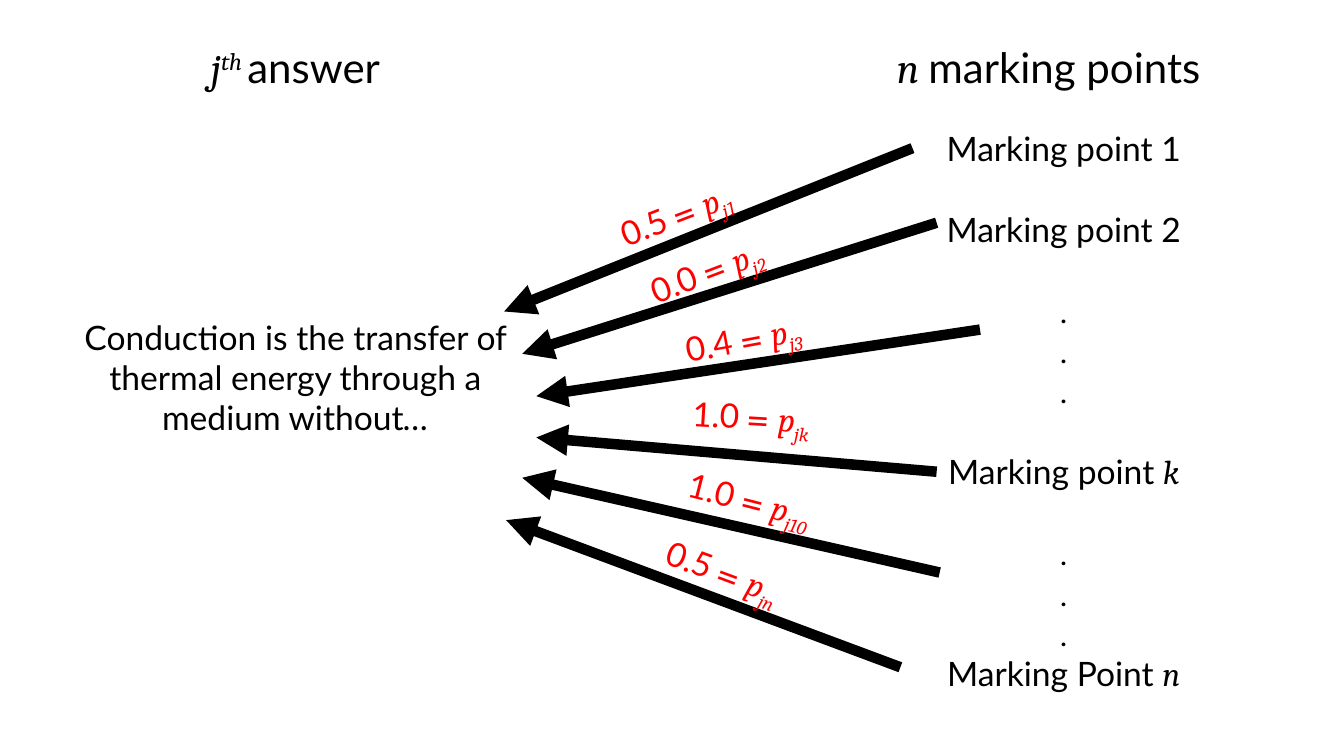
from dataclasses import dataclass

from lxml.etree import SubElement
from pptx import Presentation
from pptx.dml.color import RGBColor
from pptx.enum.shapes import MSO_CONNECTOR
from pptx.enum.text import MSO_AUTO_SIZE, PP_ALIGN
from pptx.oxml.ns import qn
from pptx.slide import Slide
from pptx.text.text import _Paragraph
from pptx.util import Inches, Length, Pt

# Grid: square cells, ten to the inch
CELL = 0.1
COLUMNS, ROWS = 133.3, 75


@dataclass(frozen=True)
class Theme:
    ink: RGBColor = RGBColor(0x00, 0x00, 0x00)
    accent: RGBColor = RGBColor(0xFF, 0x00, 0x00)
    body_font: str = "Lato"
    math_font: str = "Cambria"
    sign_font: str = "TeX Gyre Schola"
    dot_font: str = "Roboto"
    heading_size: Length = Pt(30)
    body_size: Length = Pt(24)
    arrow_width: Length = Pt(7.5)
    blank_line: Length = Pt(29)


THEME = Theme()


@dataclass(frozen=True)
class Piece:
    text: str
    font: str = THEME.body_font
    italic: bool = False
    baseline: int = 0


@dataclass(frozen=True)
class Line:
    pieces: tuple[Piece, ...]
    gap_before: bool = False


@dataclass(frozen=True)
class TextBlock:
    left: float
    top: float
    width: float
    height: float
    lines: tuple[Line, ...]
    size: Length = THEME.body_size
    color: RGBColor = THEME.ink
    align: PP_ALIGN = PP_ALIGN.CENTER
    rotation: float = 0


@dataclass(frozen=True)
class Score:
    """One marking point's arrow to the answer, with its label."""
    start: tuple[float, float]
    end: tuple[float, float]
    value: str
    index: str
    label_left: float
    label_top: float
    label_width: float
    rotation: float


def cells(count: float) -> Length:
    return Inches(count * CELL)


def symbol(text: str, baseline: int = 0) -> Piece:
    return Piece(text, THEME.math_font, True, baseline)


def dots() -> tuple[Line, ...]:
    dot = (Piece(".", THEME.dot_font),)
    return Line(dot, True), Line(dot), Line(dot)


def add_piece(paragraph: _Paragraph, piece: Piece, block: TextBlock) -> None:
    run = paragraph.add_run()
    run.text = piece.text
    formats = {"name": piece.font, "size": block.size, "italic": piece.italic}
    for attribute, value in formats.items():
        setattr(run.font, attribute, value)
    run.font.color.rgb = block.color
    if piece.baseline:
        run._r.get_or_add_rPr().set("baseline", str(piece.baseline * 1000))


def add_text(slide: Slide, block: TextBlock) -> None:
    bounds = (block.left, block.top, block.width, block.height)
    shape = slide.shapes.add_textbox(*map(cells, bounds))
    shape.rotation = block.rotation
    frame = shape.text_frame
    frame.word_wrap = True
    frame.auto_size = MSO_AUTO_SIZE.SHAPE_TO_FIT_TEXT
    for number, line in enumerate(block.lines):
        paragraph = frame.add_paragraph() if number else frame.paragraphs[0]
        paragraph.alignment = block.align
        if line.gap_before:
            paragraph.space_before = THEME.blank_line
        for piece in line.pieces:
            add_piece(paragraph, piece, block)


def add_arrow(slide: Slide, score: Score) -> None:
    arrow = slide.shapes.add_connector(
        MSO_CONNECTOR.STRAIGHT, *map(cells, score.start + score.end))
    arrow.line.color.rgb = THEME.ink
    arrow.line.width = THEME.arrow_width
    SubElement(arrow.line._get_or_add_ln(), qn("a:tailEnd"), type="triangle")
    SubElement(arrow._element.spPr, qn("a:effectLst"))


def add_label(slide: Slide, score: Score) -> None:
    pieces = (Piece(score.value), Piece(" = ", THEME.sign_font),
              symbol("p"), symbol(score.index, -25))
    add_text(slide, TextBlock(
        score.label_left, score.label_top, score.label_width, 5, (Line(pieces),),
        color=THEME.accent, align=PP_ALIGN.LEFT, rotation=score.rotation))


BLOCKS = (
    # Column headings
    TextBlock(7.2, 3.6, 44.2, 6.1,
              (Line((symbol("j"), symbol("th ", 30), Piece("answer"))),),
              THEME.heading_size),
    TextBlock(81.9, 3.6, 44.2, 6.1,
              (Line((symbol("n "), Piece("marking points"))),),
              THEME.heading_size),
    # Answer
    TextBlock(7.2, 30.9, 44.2, 13.1, (Line((
        Piece("Conduction is the transfer of thermal energy through a medium without"),
        Piece("…", italic=True))),)),
    # Marking points
    TextBlock(86.6, 12.2, 37.8, 57.6, (
        Line((Piece("Marking point 1"),)),
        Line((Piece("Marking point 2"),), True),
        *dots(),
        Line((Piece("Marking point "), symbol("k")), True),
        *dots(),
        Line((Piece("Marking Point "), symbol("n"))))),
)

SCORES = (
    Score((90.5, 14.7), (50, 30.9), "0.5", "j1", 60.1, 17.8, 18.8, -21),
    Score((92.9, 22.1), (51.8, 35.1), "0.0", "j2", 63.1, 23.5, 18.3, -21),
    Score((97.2, 32.7), (53.2, 39.3), "0.4", "j3", 66.9, 30.8, 16.9, -10.6),
    Score((92.9, 46.8), (53.2, 43.4), "1.0", "jk", 67.7, 39, 19, 3.6),
    Score((93.2, 56.8), (51.8, 47.4), "1.0", "j10", 67.1, 47.6, 18.9, 14.3),
    Score((89.3, 66.2), (50.2, 51.6), "0.5", "jn", 64.7, 55.3, 20, 20.5),
)


def main() -> None:
    presentation = Presentation()
    presentation.slide_width = cells(COLUMNS)
    presentation.slide_height = cells(ROWS)
    blank_layout = presentation.slide_layouts.get_by_name("Blank")
    slide = presentation.slides.add_slide(blank_layout)
    for block in BLOCKS:
        add_text(slide, block)
    # Arrows lie behind all the labels
    for draw in (add_arrow, add_label):
        for score in SCORES:
            draw(slide, score)
    presentation.save("out.pptx")


if __name__ == "__main__":
    main()
